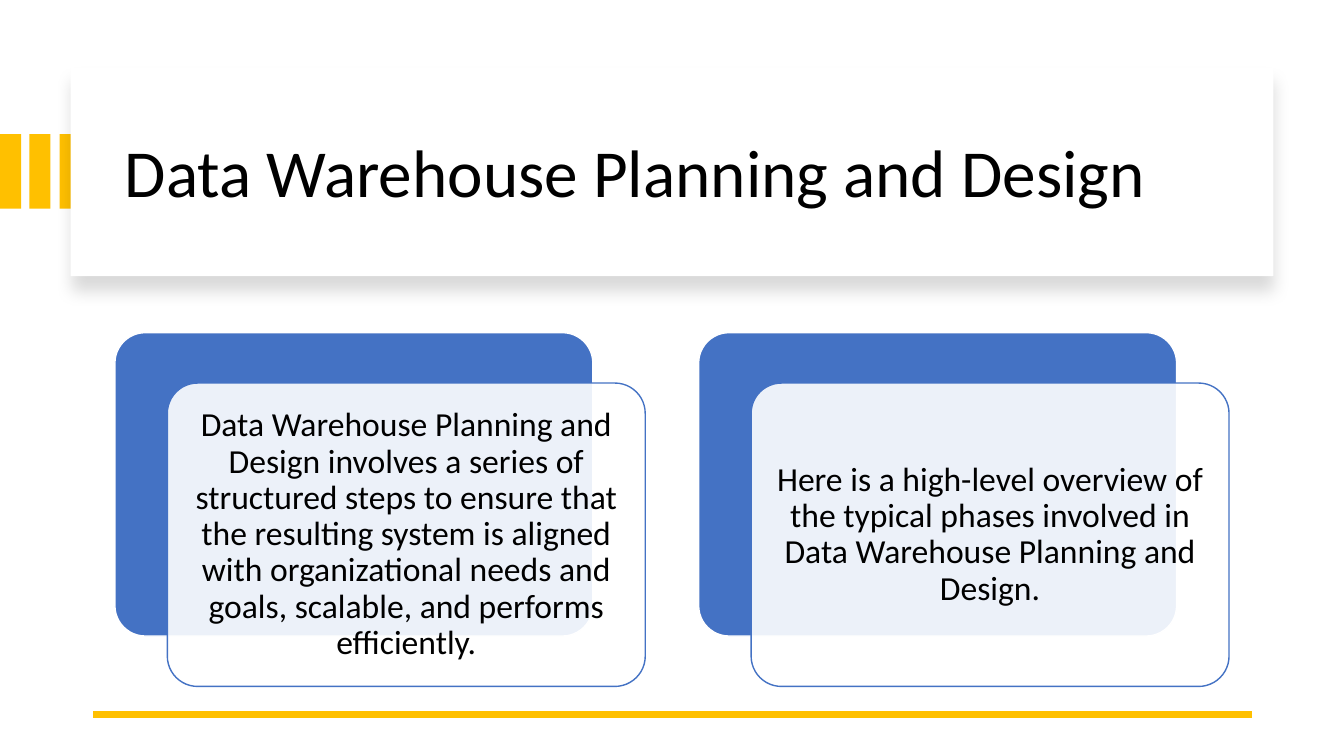
from lxml import etree
from pptx import Presentation
from pptx import util as u
from pptx.dml.color import RGBColor
from pptx.enum import shapes, text
from pptx.oxml.ns import qn

PX = 9144  # 100 px to the inch
FONT = "Calibri"
BLACK, WHITE, GOLD, BLUE = "000000", "FFFFFF", "FFC000", "4472C4"
CARD_WIDTH, CARD_HEIGHT = 474, 301
CARD_LEFT, CARD_TOP, CARD_STEP = 114, 330, 579
PANEL_SHIFT_X, PANEL_SHIFT_Y, PANEL_MARGIN = 52, 50, 9
CARDS = [
    "Data Warehouse Planning and Design involves a series of structured steps "
    "to ensure that the resulting system is aligned with organizational needs "
    "and goals, scalable, and performs efficiently.",
    "Here is a high-level overview of the typical phases involved in "
    "Data Warehouse Planning and Design.",
]


def px(*lengths):
    return [u.Emu(length * PX) for length in lengths]


def color(value):
    return RGBColor.from_string(value)


def add_box(slide, box, fill, line=None, rounded=False):
    kind = shapes.MSO_SHAPE.ROUNDED_RECTANGLE if rounded else shapes.MSO_SHAPE.RECTANGLE
    shape = slide.shapes.add_shape(kind, *px(*box))
    if rounded:
        shape.adjustments[0] = 0.1
    shape.shadow.inherit = False
    shape.fill.solid()
    shape.fill.fore_color.rgb = color(fill)
    if line:
        shape.line.color.rgb = color(line)
        shape.line.width = u.Pt(1)
    else:
        shape.line.fill.background()
    return shape


def set_opacity(shape, percent):
    fill_color = shape.fill._xPr.find(qn("a:solidFill"))[0]
    etree.SubElement(fill_color, qn("a:alpha"), val=str(percent * 1000))


def add_drop_shadow(shape, blur, distance, percent):
    effects = shape._element.spPr.find(qn("a:effectLst"))
    shadow = etree.SubElement(
        effects, qn("a:outerShdw"), blurRad=str(u.Pt(blur)), dist=str(u.Pt(distance)),
        dir="5400000", algn="t", rotWithShape="0")
    shade = etree.SubElement(shadow, qn("a:srgbClr"), val=BLACK)
    etree.SubElement(shade, qn("a:alpha"), val=str(percent * 1000))


def add_text(slide, box, words, size, align, inset_y):
    frame = slide.shapes.add_textbox(*px(*box)).text_frame
    frame.word_wrap = True
    frame.vertical_anchor = text.MSO_ANCHOR.MIDDLE
    frame.margin_left, frame.margin_right = px(10, 10)
    frame.margin_top, frame.margin_bottom = px(inset_y, inset_y)
    paragraph = frame.paragraphs[0]
    paragraph.alignment = align
    paragraph.line_spacing = 0.9
    run = paragraph.add_run()
    run.text = words
    run.font.name = FONT
    run.font.size = u.Pt(size)
    run.font.color.rgb = color(BLACK)


def add_rule(slide, start, end, line, width):
    rule = slide.shapes.add_connector(
        shapes.MSO_CONNECTOR.STRAIGHT, *px(*start), *px(*end))
    rule.line.color.rgb = color(line)
    rule.line.width = u.Pt(width)
    etree.SubElement(rule._element.spPr, qn("a:effectLst"))


def add_card(slide, left, words):
    add_box(slide, (left, CARD_TOP, CARD_WIDTH, CARD_HEIGHT), BLUE, WHITE, rounded=True)
    x, y = left + PANEL_SHIFT_X, CARD_TOP + PANEL_SHIFT_Y
    panel = add_box(slide, (x, y, CARD_WIDTH, CARD_HEIGHT), WHITE, BLUE, rounded=True)
    set_opacity(panel, 90)
    text_box = (x + PANEL_MARGIN, y + PANEL_MARGIN,
                CARD_WIDTH - 2 * PANEL_MARGIN, CARD_HEIGHT - 2 * PANEL_MARGIN)
    add_text(slide, text_box, words, 24, text.PP_ALIGN.CENTER, 10)


def main():
    presentation = Presentation()
    presentation.slide_width, presentation.slide_height = px(1333, 750)
    slide = presentation.slides.add_slide(presentation.slide_layouts[6])

    # Gold stripes at the left edge
    for left in (0, 29, 59):
        add_box(slide, (left, 133, 21, 74), GOLD)

    # Title banner
    banner = add_box(slide, (70, 67, 1193, 207), WHITE)
    add_drop_shadow(banner, blur=11, distance=10, percent=15)
    add_text(slide, (114, 89, 1113, 170), "Data Warehouse Planning and Design",
             48, text.PP_ALIGN.LEFT, 5)

    # Bottom rule
    add_rule(slide, (1242, 709), (92, 709), GOLD, 4.5)

    # Cards
    for index, words in enumerate(CARDS):
        add_card(slide, CARD_LEFT + index * CARD_STEP, words)

    presentation.save("out.pptx")


if __name__ == "__main__":
    main()
